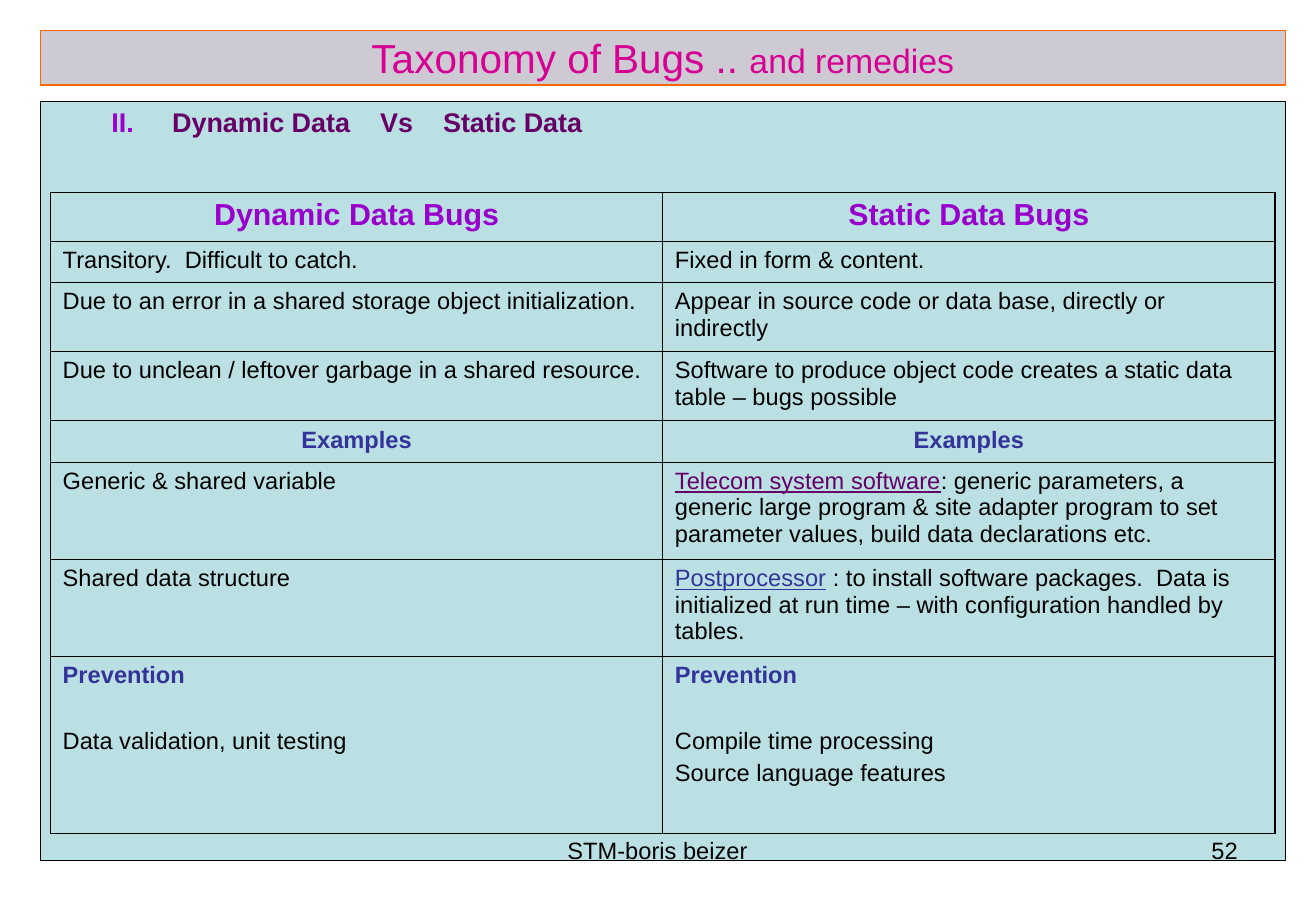
from dataclasses import dataclass

from lxml import etree
from pptx import Presentation
from pptx import util as u
from pptx.dml import color
from pptx.enum import shapes, text
from pptx.oxml import ns

COLORS = {
    "black": "000000",
    "panel": "BBE0E3",
    "banner": "CECAD4",
    "orange": "FF6600",
    "magenta": "D60093",
    "violet": "9900CC",
    "purple": "660066",
    "indigo": "333399",
}
ALIGN = text.PP_ALIGN
INNER_LINE, OUTER_LINE = 0.45, 1.08


@dataclass(frozen=True)
class Span:
    text: str
    color: str = "black"
    size: float = 14
    bold: bool = False
    underline: bool = False
    spacing: float = 0


@dataclass(frozen=True)
class Line:
    spans: tuple[Span, ...]
    align: ALIGN = ALIGN.LEFT
    before: float = 3.5


@dataclass(frozen=True)
class Row:
    height: float
    dynamic: tuple[Line, ...]
    static: tuple[Line, ...]


@dataclass(frozen=True)
class Box:
    left: float
    top: float
    width: float
    height: float

    def lengths(self) -> tuple[u.Length, ...]:
        return tuple(u.Pt(value) for value in (self.left, self.top, self.width, self.height))


def rgb(name: str) -> color.RGBColor:
    return color.RGBColor.from_string(COLORS[name])


def add_text(paragraph, content: str, *, color: str = "black", size: float = 14,
             bold: bool = False, underline: bool = False, spacing: float = 0) -> None:
    run = paragraph.add_run()
    run.text = content
    font = run.font
    font.name = "Arial"
    font.size = u.Pt(size)
    font.bold = bold
    font.underline = underline
    font.color.rgb = rgb(color)
    if spacing:
        font._element.set("spc", str(round(spacing * 100)))


def write_lines(frame, lines: tuple[Line, ...]) -> None:
    frame.word_wrap = True
    for index, line in enumerate(lines):
        paragraph = frame.add_paragraph() if index else frame.paragraphs[0]
        paragraph.alignment = line.align
        paragraph.space_before = u.Pt(line.before)
        for span in line.spans:
            add_text(paragraph, span.text, color=span.color, size=span.size, bold=span.bold,
                     underline=span.underline, spacing=span.spacing)


def add_rectangle(slide, box: Box, fill: str, line: str):
    shape = slide.shapes.add_shape(shapes.MSO_SHAPE.RECTANGLE, *box.lengths())
    shape.shadow.inherit = False
    shape.fill.solid()
    shape.fill.fore_color.rgb = rgb(fill)
    shape.line.color.rgb = rgb(line)
    shape.line.width = u.Pt(0.75)
    return shape


def add_text_box(slide, box: Box, line: Line):
    shape = slide.shapes.add_textbox(*box.lengths())
    write_lines(shape.text_frame, (line,))
    return shape


def number_paragraph(paragraph, start: int, color: str, margin: float, hanging: float) -> None:
    properties = paragraph._p.get_or_add_pPr()
    properties.set("marL", str(u.Pt(margin)))
    properties.set("indent", str(-u.Pt(hanging)))
    bullet_color = etree.SubElement(properties, ns.qn("a:buClr"))
    etree.SubElement(bullet_color, ns.qn("a:srgbClr"), val=COLORS[color])
    etree.SubElement(properties, ns.qn("a:buFont"), typeface="Arial")
    etree.SubElement(properties, ns.qn("a:buAutoNum"), type="romanUcPeriod", startAt=str(start))


def set_borders(cell, outer_sides: dict[str, bool]) -> None:
    properties = cell._tc.get_or_add_tcPr()
    for side, is_outer in outer_sides.items():
        width = u.Pt(OUTER_LINE if is_outer else INNER_LINE)
        border = etree.SubElement(properties, ns.qn(f"a:ln{side}"), w=str(width))
        fill = etree.SubElement(border, ns.qn("a:solidFill"))
        etree.SubElement(fill, ns.qn("a:srgbClr"), val=COLORS["black"])


def add_bug_table(slide, box: Box, rows: tuple[Row, ...]) -> None:
    table = slide.shapes.add_table(len(rows), 2, *box.lengths()).table
    table.first_row = False
    table.horz_banding = False
    for row_index, row in enumerate(rows):
        table.rows[row_index].height = u.Pt(row.height)
        for column_index, lines in enumerate((row.dynamic, row.static)):
            cell = table.cell(row_index, column_index)
            set_borders(cell, {
                "L": column_index == 0,
                "R": column_index == 1,
                "T": row_index == 0,
                "B": row_index == len(rows) - 1,
            })
            cell.fill.background()
            write_lines(cell.text_frame, lines)


def body(content: str, before: float = 3.5) -> Line:
    return Line((Span(content),), before=before)


def header(content: str) -> tuple[Line, ...]:
    return (Line((Span(content, "violet", 18, bold=True),), ALIGN.CENTER, 4.5),)


def label(content: str, align: ALIGN = ALIGN.LEFT) -> Line:
    return Line((Span(content, "indigo", bold=True),), align)


def term(name: str, color: str, explanation: str) -> tuple[Line, ...]:
    return (Line((Span(name, color, underline=True), Span(explanation))),)


EXAMPLES = (label("Examples", ALIGN.CENTER),)
PREVENTION = label("Prevention")
AFTER_LABEL = 23.1
ONE_LINE, TWO_LINES, THREE_LINES = 24.5, 41, 57.6

ROWS = (
    Row(28.8, header("Dynamic Data Bugs"), header("Static Data Bugs")),
    Row(ONE_LINE, (body("Transitory.  Difficult to catch."),),
        (body("Fixed in form & content."),)),
    Row(TWO_LINES, (body("Due to an error in a shared storage object initialization."),),
        (body("Appear in source code or data base, directly or indirectly"),)),
    Row(TWO_LINES, (body("Due to unclean / leftover garbage in a shared resource."),),
        (body("Software to produce object code creates a static data table – bugs possible"),)),
    Row(ONE_LINE, EXAMPLES, EXAMPLES),
    Row(THREE_LINES, (body("Generic & shared variable"),),
        term("Telecom system software", "purple",
             ": generic parameters, a generic large program & site adapter program to set "
             "parameter values, build data declarations etc.")),
    Row(THREE_LINES, (body("Shared data structure"),),
        term("Postprocessor", "indigo",
             " : to install software packages.  Data is initialized at run time – with "
             "configuration handled by tables.")),
    Row(105, (PREVENTION, body("Data validation, unit testing", AFTER_LABEL)),
        (PREVENTION, body("Compile time processing", AFTER_LABEL),
         body("Source language features"))),
)


def main() -> None:
    presentation = Presentation()
    presentation.slide_width = u.Pt(780.25)
    presentation.slide_height = u.Pt(540)
    slide = presentation.slides.add_slide(presentation.slide_layouts[6])

    add_rectangle(slide, Box(24, 60, 738, 450), "panel", "black")
    banner = add_rectangle(slide, Box(24, 18, 738, 32.4), "banner", "orange")
    banner.text_frame.vertical_anchor = text.MSO_ANCHOR.MIDDLE
    write_lines(banner.text_frame, (Line((
        Span("Taxonomy of Bugs .. ", "magenta", 24),
        Span("and remedies", "magenta", 20),
    ), ALIGN.CENTER, 0),))

    add_bug_table(slide, Box(30, 114, 726, sum(row.height for row in ROWS)), ROWS)

    gap = Span(" ", "purple", 16, bold=True, spacing=13.35)
    words = [Span(word, "purple", 16, bold=True) for word in ("Dynamic Data", "Vs", "Static Data")]
    heading = Line((words[0], gap, words[1], gap, words[2]), before=0)
    heading_box = add_text_box(slide, Box(23, 59, 445, 26.6), heading)
    number_paragraph(heading_box.text_frame.paragraphs[0], 2, "violet", 72, 36)

    add_text_box(slide, Box(266.4, 491.8, 247, 37.4),
                 Line((Span("STM-boris beizer"),), ALIGN.CENTER, 0))
    add_text_box(slide, Box(558.7, 491.8, 182.2, 37.4), Line((Span("52"),), ALIGN.RIGHT, 0))
    presentation.save("out.pptx")


if __name__ == "__main__":
    main()
